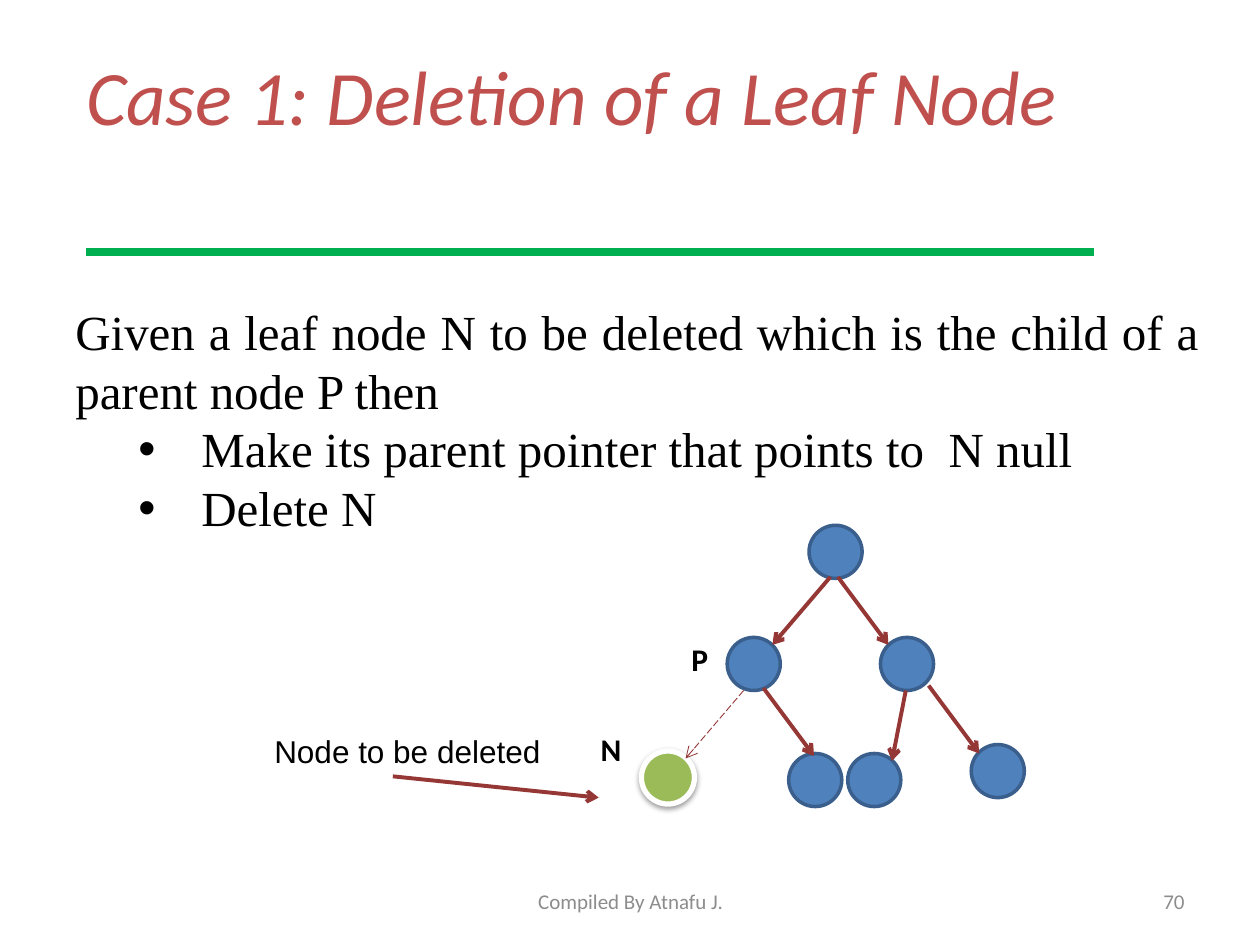
from lxml import etree
from pptx import Presentation
from pptx.dml.color import RGBColor
from pptx.enum.dml import MSO_LINE
from pptx.enum.shapes import MSO_CONNECTOR, MSO_SHAPE
from pptx.enum.text import MSO_ANCHOR, PP_ALIGN
from pptx.oxml.ns import qn
from pptx.util import Cm, Pt

LEFT, CENTER, RIGHT, JUSTIFY = PP_ALIGN.LEFT, PP_ALIGN.CENTER, PP_ALIGN.RIGHT, PP_ALIGN.JUSTIFY
TOP, MIDDLE = MSO_ANCHOR.TOP, MSO_ANCHOR.MIDDLE
LONG_DASH = MSO_LINE.LONG_DASH
TITLE_ONLY = 5
NODE_SIZE = 1.07

COLORS = {
    "title": "C0504D",
    "text": "000000",
    "muted": "8C8C8C",
    "rule": "00B050",
    "node": "4F81BD",
    "node_line": "3A5F8C",
    "leaf": "9BBB59",
    "leaf_line": "FFFFFF",
    "arrow": "953735",
}


def color(name):
    return RGBColor.from_string(COLORS[name])


class TreeSlide:
    """Holds the slide and its style; all lengths are centimetres."""

    def __init__(self, presentation):
        self.slide = presentation.slides.add_slide(presentation.slide_layouts[TITLE_ONLY])
        self.shapes = self.slide.shapes

    def format(self, paragraph, size, font, fill="text", align=LEFT, bold=False, italic=False):
        paragraph.alignment = align
        paragraph.font.size = Pt(size)
        paragraph.font.name = font
        paragraph.font.color.rgb = color(fill)
        paragraph.font.bold = bold
        paragraph.font.italic = italic

    def title(self, text, left, top, width, height):
        title = self.shapes.title
        title.left, title.top, title.width, title.height = map(Cm, (left, top, width, height))
        title.text_frame.text = text
        title.text_frame.vertical_anchor = TOP
        self.format(title.text_frame.paragraphs[0], 44, "Calibri", "title", italic=True)

    def text(self, lines, left, top, width, height, anchor=TOP, wrap=True, **style):
        box = self.shapes.add_textbox(Cm(left), Cm(top), Cm(width), Cm(height))
        frame = box.text_frame
        frame.word_wrap = wrap
        frame.vertical_anchor = anchor
        frame.text = "\n".join(lines)
        for paragraph in frame.paragraphs:
            self.format(paragraph, **style)
        return frame.paragraphs

    def bullet(self, paragraph):
        paragraph.level = 1
        properties = paragraph._p.get_or_add_pPr()
        properties.set("marL", str(Cm(2.54)))
        properties.set("indent", str(Cm(-1.27)))
        etree.SubElement(properties, qn("a:buFont")).set("typeface", "Arial")
        etree.SubElement(properties, qn("a:buChar")).set("char", "•")
        # Bullet elements come before the default run properties
        properties.append(properties.find(qn("a:defRPr")))

    def node(self, left, top, fill="node", line="node_line", width=2):
        node = self.shapes.add_shape(MSO_SHAPE.OVAL, Cm(left), Cm(top), Cm(NODE_SIZE), Cm(NODE_SIZE))
        node.shadow.inherit = False
        node.fill.solid()
        node.fill.fore_color.rgb = color(fill)
        node.line.color.rgb = color(line)
        node.line.width = Pt(width)
        return node

    def drop_shadow(self, shape):
        effects = shape._element.spPr.find(qn("a:effectLst"))
        shadow = etree.SubElement(effects, qn("a:outerShdw"), blurRad=str(Pt(3.1)),
                                  dist=str(Pt(1.6)), dir="5400000", rotWithShape="0")
        tint = etree.SubElement(shadow, qn("a:srgbClr"), val=COLORS["text"])
        etree.SubElement(tint, qn("a:alpha"), val="38000")

    def line(self, x1, y1, x2, y2, fill="arrow", width=2.25, dash=None, arrow=True):
        line = self.shapes.add_connector(MSO_CONNECTOR.STRAIGHT, Cm(x1), Cm(y1), Cm(x2), Cm(y2))
        line.line.color.rgb = color(fill)
        line.line.width = Pt(width)
        if dash:
            line.line.dash_style = dash
        if arrow:
            etree.SubElement(line.line._get_or_add_ln(), qn("a:tailEnd"), type="arrow")
        etree.SubElement(line._element.spPr, qn("a:effectLst"))


presentation = Presentation()
presentation.slide_width, presentation.slide_height = Cm(25.4), Cm(19.05)
page = TreeSlide(presentation)

# Heading and rule
page.title("Case 1: Deletion of a Leaf Node", 1.48, 0.85, 22.86, 3.18)
page.line(1.73, 5.08, 22.05, 5.08, fill="rule", width=4.25, arrow=False)

# Explanation
steps = page.text(
    ["Given a leaf node N to be deleted which is the child of a parent node P then",
     "Make its parent pointer that points to  N null",
     "Delete N"],
    1.27, 5.92, 23.16, 5.05, anchor=MIDDLE, size=28, font="Times New Roman", align=JUSTIFY)
for step in steps[1:]:
    page.bullet(step)

# Tree nodes, level by level
for left, top in [(16.31, 10.59),
                  (14.66, 12.85), (17.75, 12.85),
                  (15.9, 15.19), (17.09, 15.19), (19.58, 15.01)]:
    page.node(left, top)
leaf = page.node(12.93, 15.14, "leaf", "leaf_line", 3)
page.drop_shadow(leaf)

# Links between the nodes, and the pointer to the deleted leaf
for ends in [(16.74, 11.63, 15.57, 13), (16.89, 11.63, 17.91, 13),
             (15.39, 13.87, 16.41, 15.24), (18.26, 13.92, 17.98, 15.34),
             (18.72, 13.82, 19.74, 15.19), (7.92, 15.65, 12.07, 16.08)]:
    page.line(*ends)
page.line(14.99, 13.92, 13.82, 15.29, width=0.5, dash=LONG_DASH)

# Labels
page.text(["Node to be deleted"], 5.28, 14.63, 7.26, 1.02, size=18, font="Arial")
for label, left, top in [("P", 13.69, 12.78), ("N", 11.86, 14.6)]:
    page.text([label], left, top, 0.95, 1.02, wrap=False, size=18, font="Calibri", bold=True)

# Footer
for label, left, width, align in [("Compiled By Atnafu J.", 8.69, 8.05, CENTER),
                                  ("70", 18.21, 5.92, RIGHT)]:
    page.text([label], left, 17.65, width, 1.02, anchor=MIDDLE,
              size=12, font="Calibri", fill="muted", align=align)

presentation.save("out.pptx")
